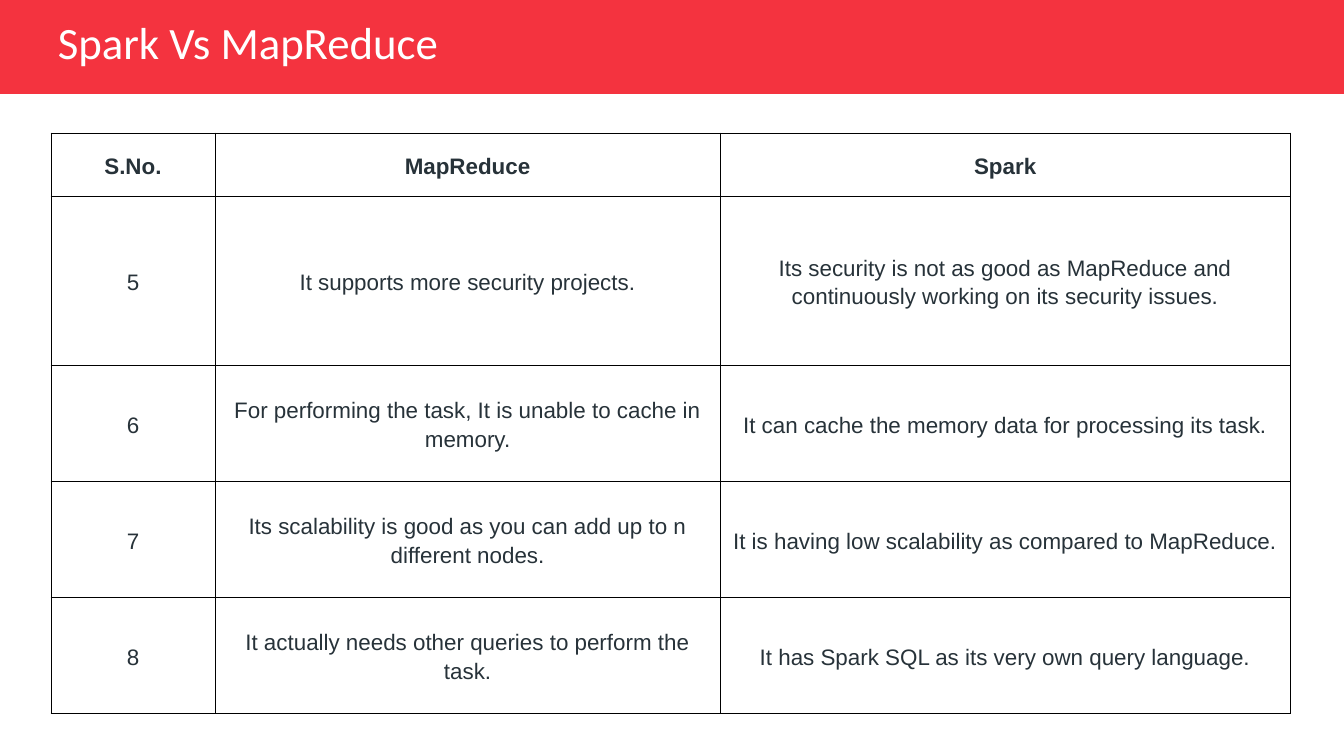
import pptx
import pptx.util
import pptx.dml.color
import pptx.enum.shapes
import pptx.enum.text
import pptx.oxml
import pptx.oxml.ns

WIDTH = 10
HEIGHT = WIDTH * 9 / 16
TABLE_HEIGHT = 4.32
COLUMNS = [1.22, 3.76, 4.24]
TOP_ROWS = [0.47, 1.26]
ROWS = TOP_ROWS + [(TABLE_HEIGHT - sum(TOP_ROWS)) / 3] * 3
COMPARISON = [
    ["S.No.", "MapReduce", "Spark"],
    ["5", "It supports more security projects.",
     "Its security is not as good as MapReduce and continuously working on its security issues."],
    ["6", "For performing the task, It is unable to cache in memory.",
     "It can cache the memory data for processing its task."],
    ["7", "Its scalability is good as you can add up to n different nodes.",
     "It is having low scalability as compared to MapReduce."],
    ["8", "It actually needs other queries to perform the task.",
     "It has Spark SQL as its very own query language."],
]


def inches(*values):
    return [pptx.util.Inches(v) for v in values]


def color(value):
    return pptx.dml.color.RGBColor.from_string(value)


def format_font(font, name, size, value, bold=False):
    font.name = name
    font.size = pptx.util.Pt(size)
    font.color.rgb = color(value)
    font.bold = bold


def set_margins(target, left, top, right, bottom):
    target.margin_left, target.margin_top, target.margin_right, target.margin_bottom = inches(
        left, top, right, bottom)


def add_band(s, height, fill):
    band = s.shapes.add_shape(pptx.enum.shapes.MSO_SHAPE.RECTANGLE, *inches(0, 0, WIDTH, height))
    band.shadow.inherit = False
    band.fill.solid()
    band.fill.fore_color.rgb = color(fill)
    band.line.fill.background()
    return band


def set_title(s, text, band):
    title = s.shapes.title
    title.left, title.top, title.width, title.height = inches(0.43, 0.1, 7.81, 0.43)
    band.element.addnext(title.element)
    tf = title.text_frame
    tf.text = text
    tf.auto_size = pptx.enum.text.MSO_AUTO_SIZE.NONE
    tf.vertical_anchor = pptx.enum.text.MSO_ANCHOR.TOP
    set_margins(tf, 0, 0.01, 0, 0)
    p = tf.paragraphs[0]
    p.alignment = pptx.enum.text.PP_ALIGN.LEFT
    format_font(p.runs[0].font, "Calibri", 24, "FFFFFF")


def set_borders(cell, value, width):
    tcPr = cell._tc.get_or_add_tcPr()
    for side in ("lnL", "lnR", "lnT", "lnB"):
        tcPr.append(pptx.oxml.parse_xml(
            f'<a:{side} {pptx.oxml.ns.nsdecls("a")} w="{pptx.util.Pt(width)}">'
            f'<a:solidFill><a:srgbClr val="{value}"/></a:solidFill></a:{side}>'))


def fill_cell(cell, text, bold):
    set_borders(cell, "000000", 0.5)
    cell.fill.solid()
    cell.fill.fore_color.rgb = color("FFFFFF")
    cell.vertical_anchor = pptx.enum.text.MSO_ANCHOR.MIDDLE
    set_margins(cell, 0.03, 0.02, 0.03, 0.02)
    cell.text_frame.text = text
    p = cell.text_frame.paragraphs[0]
    p.alignment = pptx.enum.text.PP_ALIGN.CENTER
    p.line_spacing = 1.15
    format_font(p.runs[0].font, "Arial", 12, "273239", bold)


def add_comparison(s, left, top):
    frame = s.shapes.add_table(
        len(ROWS), len(COLUMNS), *inches(left, top, sum(COLUMNS), TABLE_HEIGHT))
    table = frame.table
    for column, width in zip(table.columns, inches(*COLUMNS)):
        column.width = width
    for row, height in zip(table.rows, inches(*ROWS)):
        row.height = height
    for i, texts in enumerate(COMPARISON):
        for j, text in enumerate(texts):
            fill_cell(table.cell(i, j), text, bold=i == 0)


def main():
    prs = pptx.Presentation()
    prs.slide_width, prs.slide_height = inches(WIDTH, HEIGHT)
    s = prs.slides.add_slide(prs.slide_layouts[5])
    band = add_band(s, 0.7, "F4333F")
    set_title(s, "Spark Vs MapReduce", band)
    add_comparison(s, 0.38, 0.99)
    prs.save("out.pptx")


if __name__ == "__main__":
    main()
